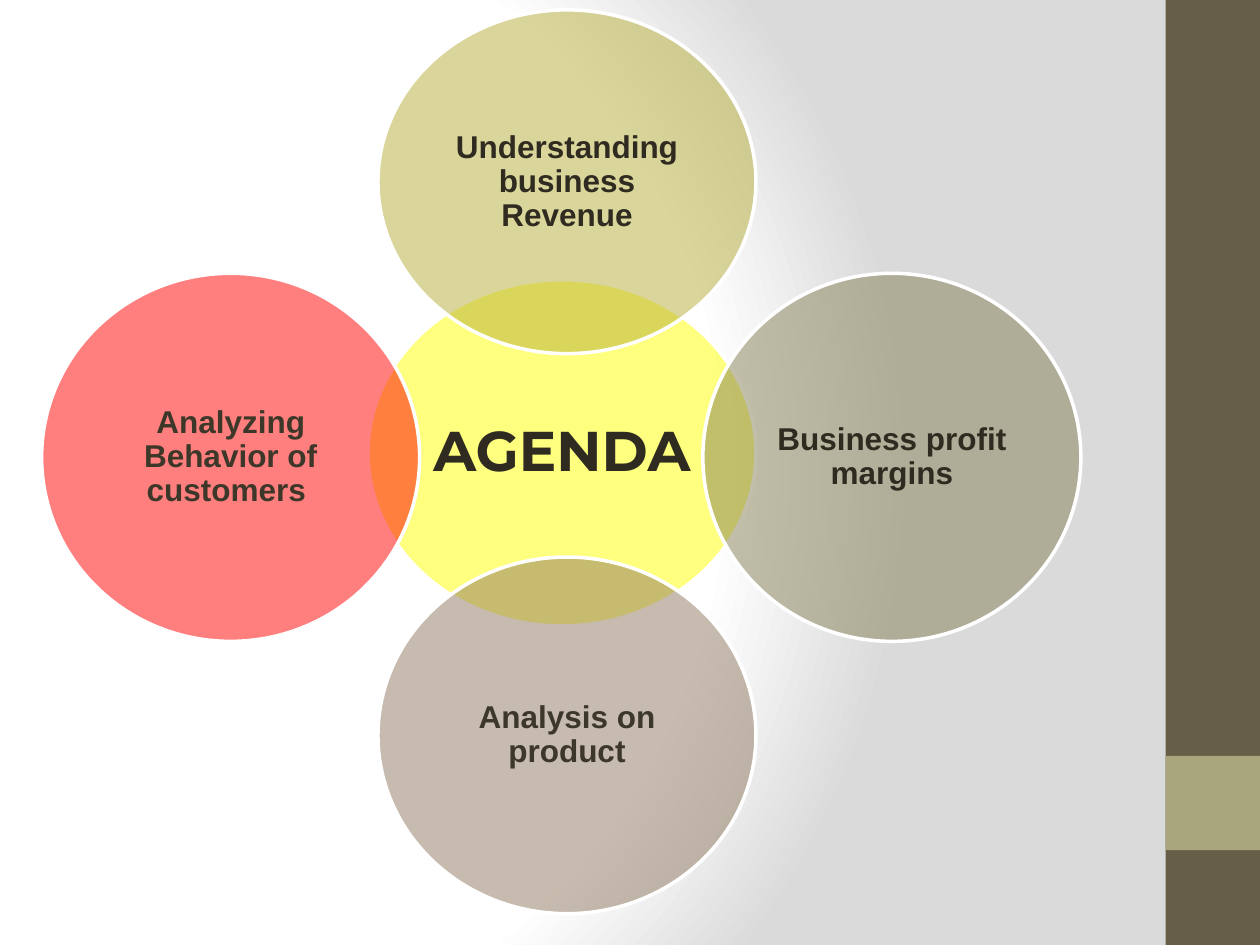
from lxml import etree
from pptx import Presentation
from pptx.dml.color import RGBColor
from pptx.enum.shapes import MSO_SHAPE
from pptx.enum.text import MSO_ANCHOR, PP_ALIGN
from pptx.oxml import parse_xml
from pptx.oxml.ns import nsdecls, qn
from pptx.util import Cm, Pt

RECTANGLE = MSO_SHAPE.RECTANGLE
OVAL = MSO_SHAPE.OVAL
MIDDLE = MSO_ANCHOR.MIDDLE
CENTER = PP_ALIGN.CENTER

WHITE = RGBColor(0xFF, 0xFF, 0xFF)
GREY = RGBColor(0xDA, 0xDA, 0xDA)
BROWN = RGBColor(0x67, 0x5E, 0x47)
SAGE = RGBColor(0xA9, 0xA5, 0x7C)
YELLOW = RGBColor(0xFF, 0xFF, 0x00)
OLIVE = RGBColor(0xB7, 0xAE, 0x38)
MOSS = RGBColor(0x85, 0x81, 0x57)
TAUPE = RGBColor(0x8E, 0x79, 0x5E)
RED = RGBColor(0xFF, 0x00, 0x00)
INK = RGBColor(0x2F, 0x2B, 0x20)
SOFT_INK = RGBColor(0x3C, 0x37, 0x29)

TEXT_INSET = 0.1464  # share of an oval outside its inscribed rectangle, per side
DIAMETER = 7.62
MIDDLE_COLUMN = 7.62
SIDE_TOP, SIDE_HEIGHT = 5.51, 7.42

# text, left, top, width, height, fill, text format
CIRCLES = [
    ("AGENDA", 7.42, 5.64, 7.82, 6.98, YELLOW,
     {"font": "Montserrat", "size": 32, "margin": 0.1}),
    ("Understanding business Revenue",
     MIDDLE_COLUMN, 0.2, DIAMETER, 6.93, OLIVE, {}),
    ("Business profit margins",
     14.17, SIDE_TOP, DIAMETER, SIDE_HEIGHT, MOSS, {}),
    ("Analysis on product",
     MIDDLE_COLUMN, 11.23, DIAMETER, 7.19, TAUPE, {"color": SOFT_INK}),
    ("Analyzing Behavior of customers ",
     0.84, SIDE_TOP, DIAMETER, SIDE_HEIGHT, RED, {"color": SOFT_INK}),
]


class SlideBuilder:
    def __init__(self, slide):
        self.slide = slide

    def background(self, inner, outer):
        """Fill the slide with a radial gradient centred left of the middle."""
        stops = "".join(
            f'<a:gs pos="{position}"><a:srgbClr val="{color}"/></a:gs>'
            for position, color in ((0, inner), (75000, inner), (100000, outer))
        )
        background = parse_xml(
            f'<p:bg {nsdecls("p", "a")}><p:bgPr>'
            f'<a:gradFill rotWithShape="1"><a:gsLst>{stops}</a:gsLst>'
            '<a:path path="circle">'
            '<a:fillToRect l="20000" t="50000" r="100000" b="50000"/>'
            '</a:path></a:gradFill><a:effectLst/></p:bgPr></p:bg>'
        )
        self.slide.element.cSld.insert(0, background)

    def shape(self, kind, left, top, width, height, fill):
        shape = self.slide.shapes.add_shape(
            kind, Cm(left), Cm(top), Cm(width), Cm(height))
        shape.shadow.inherit = False
        shape.fill.solid()
        shape.fill.fore_color.rgb = fill
        shape.line.fill.background()
        return shape

    def text(self, text, left, top, width, height, *,
             font="Arial", size=18, color=INK, margin=0.08):
        box = self.slide.shapes.add_textbox(
            Cm(left), Cm(top), Cm(width), Cm(height))
        frame = box.text_frame
        frame.word_wrap = True
        frame.vertical_anchor = MIDDLE
        frame.margin_left = frame.margin_right = Cm(margin)
        frame.margin_top = frame.margin_bottom = Cm(margin)
        paragraph = frame.paragraphs[0]
        paragraph.alignment = CENTER
        paragraph.line_spacing = 0.9
        run = paragraph.add_run()
        run.text = text
        run.font.name = font
        run.font.size = Pt(size)
        run.font.bold = True
        run.font.color.rgb = color

    def circle(self, text, left, top, width, height, fill, text_format):
        """Draw a half-transparent oval with text in its inscribed rectangle."""
        oval = self.shape(OVAL, left, top, width, height, fill)
        oval.line.color.rgb = WHITE
        oval.line.width = Pt(2)
        color = oval.element.spPr.find(qn("a:solidFill"))[0]
        etree.SubElement(color, qn("a:alpha")).set("val", "50000")
        inner = 1 - 2 * TEXT_INSET
        self.text(text, left + width * TEXT_INSET, top + height * TEXT_INSET,
                  width * inner, height * inner, **text_format)


def main():
    presentation = Presentation()
    presentation.slide_width = Cm(25.4)
    presentation.slide_height = Cm(19.05)
    builder = SlideBuilder(
        presentation.slides.add_slide(presentation.slide_layouts[6]))
    builder.background(WHITE, GREY)
    builder.shape(RECTANGLE, 23.5, 0, 1.9, 19.05, BROWN)
    builder.shape(RECTANGLE, 23.5, 15.24, 1.9, 1.9, SAGE)
    for circle in CIRCLES:
        builder.circle(*circle)
    presentation.save("out.pptx")


if __name__ == "__main__":
    main()
